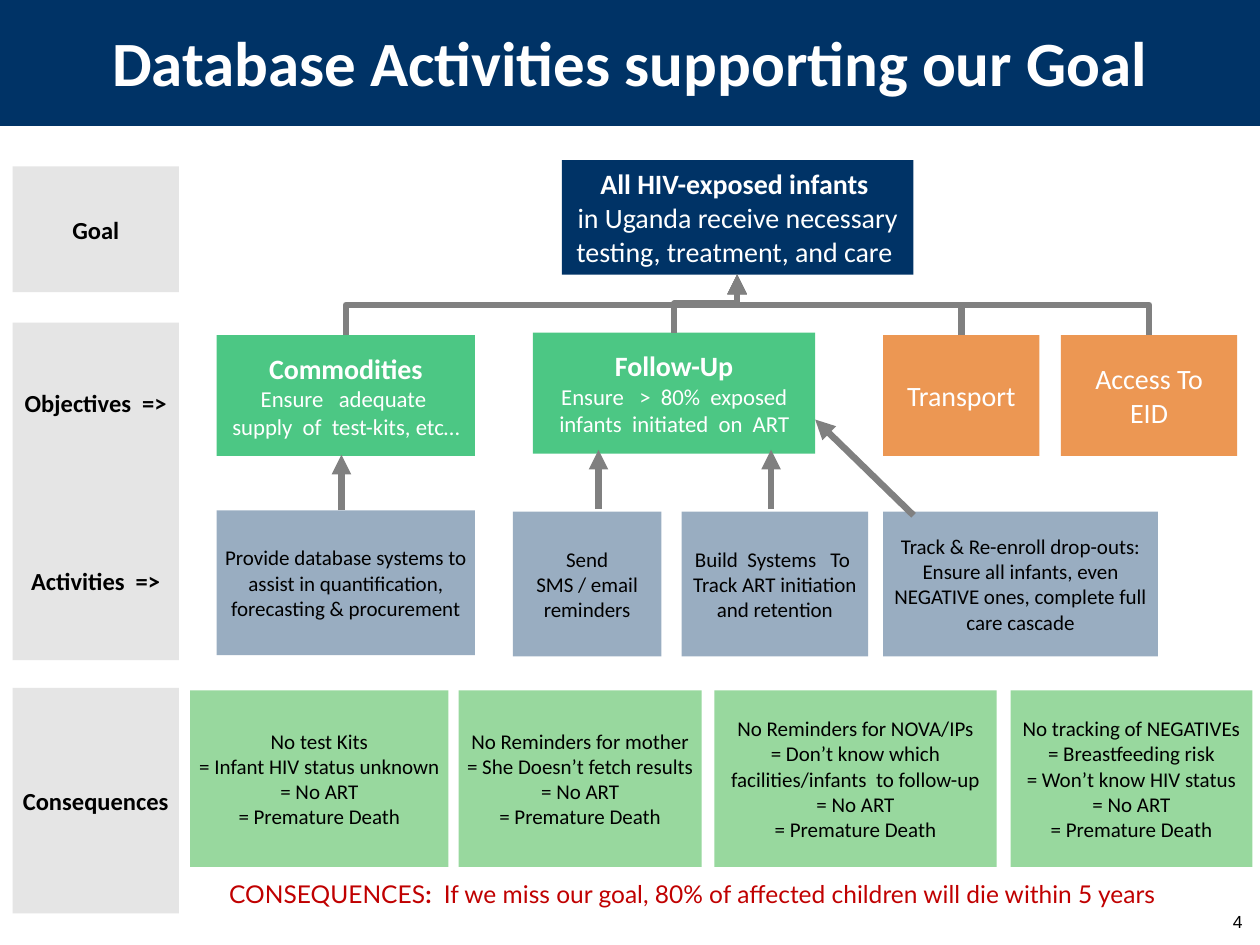
from copy import deepcopy
from lxml.etree import SubElement
from pptx import Presentation
from pptx.dml.color import RGBColor as Rgb
from pptx.enum.shapes import MSO_CONNECTOR as Link, MSO_SHAPE as Preset
from pptx.enum.text import MSO_ANCHOR as Anchor, MSO_AUTO_SIZE as Fit, PP_ALIGN as Align
from pptx.oxml.ns import qn
from pptx.util import Inches, Pt

COLORS = {"navy": "003366", "green": "00B050", "orange": "E46C0A", "mint": "98D89E",
          "label": "BFBFBF", "arrow": "808080", "white": "FFFFFF", "black": "000000",
          "alert": "C00000"}
WHITE = {"size": 16, "name": "Calibri", "color": "white"}
HEADING = WHITE | {"bold": True}
DETAIL = WHITE | {"size": 13}
BODY = {"size": 12, "name": "Calibri", "color": "black"}
LABEL = BODY | {"size": 14, "bold": True}
ALERT = {"size": 14, "name": "Lato", "color": "alert"}
TIGHT = (0.04, 0.05, 0.04, 0.05)
USUAL = (0.1, 0.05, 0.1, 0.05)


def style(font, look):
    for key, value in look.items():
        if key == "color":
            font.color.rgb = Rgb.from_string(COLORS[value])
        else:
            setattr(font, key, Pt(value) if key == "size" else value)


def write(frame, paragraphs, align=Align.CENTER, anchor=Anchor.MIDDLE, insets=USUAL, gap=0):
    settings = {"word_wrap": True, "auto_size": Fit.NONE, "vertical_anchor": anchor}
    sides = ("margin_left", "margin_top", "margin_right", "margin_bottom")
    settings |= {side: Inches(inset) for side, inset in zip(sides, insets)}
    for key, value in settings.items():
        setattr(frame, key, value)
    for index, parts in enumerate(paragraphs):
        paragraph = frame.add_paragraph() if index else frame.paragraphs[0]
        paragraph.alignment = align
        paragraph.space_before = Pt(gap if index else 0)
        for text, look in parts:
            for number, line in enumerate(text.split("\n")):
                if number:
                    paragraph.add_line_break()
                    line_break = paragraph._p.findall(qn("a:br"))[-1]
                    line_break.append(deepcopy(run._r.rPr))
                if line:
                    run = paragraph.add_run()
                    run.text = line
                    style(run.font, look)


def add_box(slide, place, fill, paragraphs=(), opacity=100, **layout):
    box = slide.shapes.add_shape(Preset.RECTANGLE, *map(Inches, place))
    box.shadow.inherit = False
    box.line.fill.background()
    box.fill.solid()
    box.fill.fore_color.rgb = Rgb.from_string(COLORS[fill])
    if opacity < 100:
        shade = box._element.spPr.find(".//" + qn("a:srgbClr"))
        SubElement(shade, qn("a:alpha"), val=str(opacity * 1000))
    write(box.text_frame, paragraphs, **layout)
    return box


def add_note(slide, place, parts, **layout):
    note = slide.shapes.add_textbox(*map(Inches, place))
    write(note.text_frame, [parts], anchor=Anchor.TOP, **layout)


def add_arrow(slide, start, end, kind=Link.STRAIGHT):
    arrow = slide.shapes.add_connector(kind, *map(Inches, (*start, *end)))
    arrow.line.width = Pt(3.75)
    arrow.line.color.rgb = Rgb.from_string(COLORS["arrow"])
    SubElement(arrow.line._get_or_add_ln(), qn("a:tailEnd"), type="triangle")
    SubElement(arrow._element.spPr, qn("a:effectLst"))
    return arrow


def add_rising_elbow(slide, start, end):
    (x0, y0), (x1, y1) = start, end
    mid_x, mid_y = (x0 + x1) / 2, (y0 + y1) / 2
    side = 1 if x0 < x1 else -1
    half_rise, half_run = side * (y0 - y1) / 2, abs(x1 - x0) / 2
    elbow = add_arrow(slide, (mid_x + half_rise, mid_y + half_run),
                      (mid_x - half_rise, mid_y - half_run), Link.ELBOW)
    turn = 90 if side > 0 else 270
    elbow._element.spPr.find(qn("a:xfrm")).set("rot", str(turn * 60000))


def title_region(slide, left, top, width, height):
    band = add_box(slide, (left, top, width, height), "navy")
    slide.shapes._spTree.insert(2, band._element)
    title = slide.shapes.title
    place = {"left": left, "top": top - 0.14, "width": width, "height": height + 0.25}
    for key, value in place.items():
        setattr(title, key, Inches(value))
    write(title.text_frame, [[("Database Activities supporting our Goal", HEADING | {"size": 36})]])


def label_region(slide, left, top, width):
    for offset, height, names in [(0, 1, ["Goal"]),
                                  (1.24, 2.68, ["Objectives  =>", "Activities  =>"]),
                                  (4.14, 1.79, ["Consequences"])]:
        add_box(slide, (left, top + offset, width, height), "label",
                [[(name, LABEL)] for name in names], 40, insets=TIGHT, gap=85)


def goal_region(slide, left, top, width, height):
    goal = add_box(slide, (left, top, width, height), "navy",
                   [[("All HIV-exposed infants \n", HEADING),
                     ("in Uganda receive necessary testing, treatment, and care ", WHITE)]])
    for key in ("space_before", "space_after"):
        setattr(goal.text_frame.paragraphs[0], key, Pt(12))


def objective_region(slide, left, top, height, goal_foot):
    objectives = [
        (0, 0, 2.05, "green", [("Commodities\n", HEADING),
                               ("Ensure   adequate  supply  of  test-kits, etc…", DETAIL)]),
        (2.51, -0.02, 2.24, "green", [("Follow-Up\n", HEADING),
                                      ("Ensure   >  80%  exposed infants  initiated  on  ART", DETAIL)]),
        (5.29, 0, 1.24, "orange", [("Transport", WHITE)]),
        (6.7, 0, 1.4, "orange", [("Access To EID", WHITE)])]
    for x, y, width, fill, parts in objectives:
        add_box(slide, (left + x, top + y, width, height), fill, [parts], 70)
        add_rising_elbow(slide, (left + x + width / 2, top + y), goal_foot)


def activity_region(slide, left, top, height):
    activities = [
        (0, -0.01, 2.05, "Provide database systems to assist in quantification, forecasting & procurement"),
        (2.35, 0, 1.18, "Send\nSMS / email reminders"),
        (3.69, 0, 1.48, "Build  Systems   To \nTrack ART initiation and retention"),
        (5.29, 0, 2.18, "Track & Re-enroll drop-outs: Ensure all infants, even NEGATIVE ones, "
                        "complete full care cascade")]
    for x, y, width, text in activities:
        add_box(slide, (left + x, top + y, width, height), "navy", [[(text, BODY)]], 40, insets=TIGHT)
    for x0, y0, x1, y1 in [(0.99, -0.01, 0.99, -0.45), (3.03, -0.02, 3.03, -0.49),
                           (4.4, -0.02, 4.4, -0.49), (5.53, 0.03, 4.75, -0.73)]:
        add_arrow(slide, (left + x0, top + y0), (left + x1, top + y1))


def consequence_region(slide, left, top, height):
    ending = "\n= No ART\n= Premature Death"
    consequences = [
        (0, 2.05, "No test Kits\n= Infant HIV status unknown"),
        (2.13, 1.93, "No Reminders for mother\n= She Doesn’t fetch results"),
        (4.16, 2.24, "No Reminders for NOVA/IPs\n= Don’t know which facilities/infants  to follow-up"),
        (6.51, 1.92, "No tracking of NEGATIVEs\n= Breastfeeding risk\n= Won’t know HIV status")]
    for x, width, text in consequences:
        add_box(slide, (left + x, top, width, height), "mint", [[(text + ending, BODY)]],
                insets=(0, 0, 0, 0))
    add_note(slide, (left + 0.21, top + 1.45, 8.03, 0.34),
             [("CONSEQUENCES", ALERT), (": ", ALERT | {"bold": True}),
              (" If we miss our goal, 80% of affected children will die within 5 years", ALERT)],
             align=Align.LEFT)


deck = Presentation()
deck.slide_width, deck.slide_height = Inches(10), Inches(7.5)
slide = deck.slides.add_slide(deck.slide_layouts[5])
title_region(slide, 0, 0, 10, 1)
label_region(slide, 0.1, 1.32, 1.32)
goal_region(slide, 4.46, 1.27, 2.79, 0.91)
objective_region(slide, 1.72, 2.66, 0.96, (5.85, 2.18))
activity_region(slide, 1.72, 4.06, 1.15)
consequence_region(slide, 1.51, 5.48, 1.4)
add_note(slide, (7.63, 7.18, 2.33, 0.3), [("4", BODY | {"size": 10, "name": "Arial"})],
         align=Align.RIGHT)
deck.save("out.pptx")
